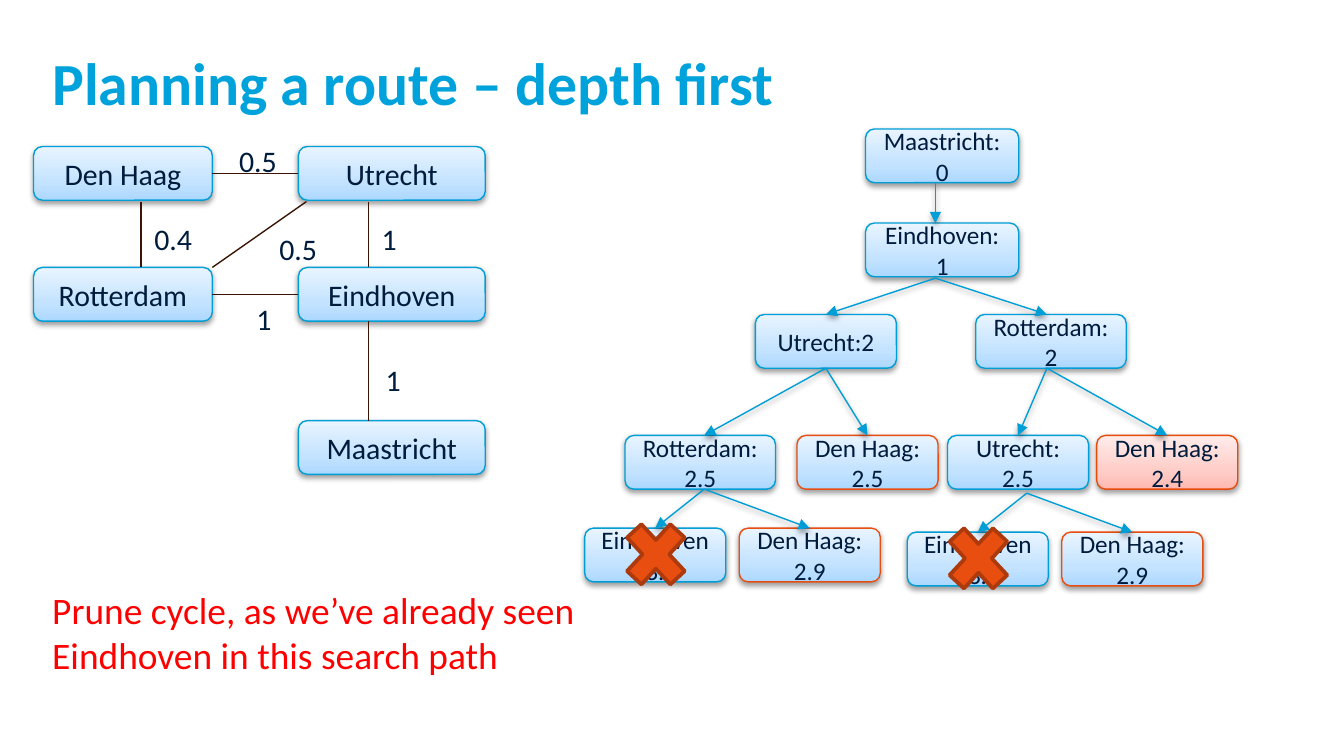
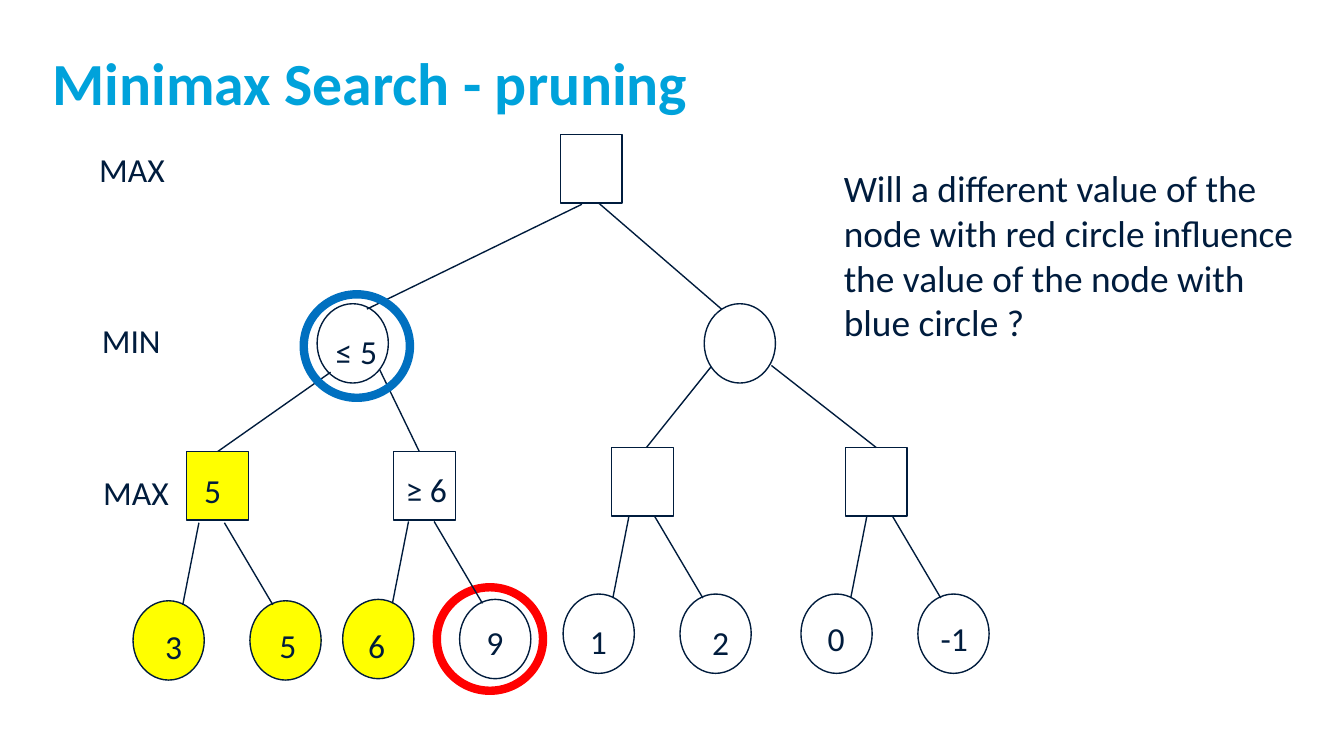
from copy import deepcopy
from dataclasses import dataclass

from lxml import etree
from pptx import Presentation
from pptx.dml.color import RGBColor
from pptx.enum.shapes import MSO_CONNECTOR, MSO_SHAPE
from pptx.enum.text import MSO_ANCHOR, MSO_AUTO_SIZE, PP_ALIGN
from pptx.oxml.ns import qn
from pptx.util import Inches, Pt

ROUNDED = MSO_SHAPE.ROUNDED_RECTANGLE
RECTANGLE = MSO_SHAPE.RECTANGLE
OVAL = MSO_SHAPE.OVAL
CROSS = MSO_SHAPE.MATH_MULTIPLY
STRAIGHT = MSO_CONNECTOR.STRAIGHT
MIDDLE = MSO_ANCHOR.MIDDLE
CENTER = PP_ALIGN.CENTER
GROW = MSO_AUTO_SIZE.SHAPE_TO_FIT_TEXT
TOP, LEFT, BOTTOM, RIGHT = range(4)


@dataclass(frozen=True)
class Theme:
    font: str = "Calibri"
    title: str = "00A2DB"
    ink: str = "001C3D"
    edge: str = "009ED6"
    road: str = "3A1404"
    goal: str = "E84E10"
    best_goal: str = "E84A0A"
    cross_edge: str = "AC3A0C"
    red: str = "FF0000"
    blue: str = "0070C0"
    yellow: str = "FFFF00"
    white: str = "FFFFFF"
    blue_blend: tuple = ("ACD8FF", "C4E3FF", "E9F4FF")
    pink_blend: tuple = ("FFB9B2", "FFCDC8", "FFECEA")
    blend_stops: tuple = (0, 0.35, 1)
    title_size: float = 32
    note_size: float = 20
    value_size: float = 18
    city_size: float = 16
    tree_size: float = 13.5
    thin: float = 0.75
    cross_line: float = 2
    ring_line: float = 4.5


THEME = Theme()
BOX_HEIGHT = 0.4
SQUARE = (0.46, 0.51)
CIRCLE = (0.53, 0.59)
RING = (0.79, 0.77)


def rgb(value):
    return RGBColor.from_string(value)


def style_text(frame, text, size, color, bold=False):
    para = frame.paragraphs[0]
    para.text = text
    para.font.name = THEME.font
    para.font.size = Pt(size)
    para.font.bold = bold
    para.font.color.rgb = rgb(color)
    return para


def add_title(page, text):
    box = page.shapes.add_textbox(Inches(0.39), Inches(0.34), Inches(9.11), Inches(0.62))
    frame = box.text_frame
    frame.word_wrap = True
    frame.margin_left = frame.margin_right = frame.margin_top = frame.margin_bottom = 0
    style_text(frame, text, THEME.title_size, THEME.title, bold=True)


def add_label(page, text, left, top, width, height, size, color=THEME.ink, wrap=True):
    box = page.shapes.add_textbox(Inches(left), Inches(top), Inches(width), Inches(height))
    box.text_frame.word_wrap = wrap
    box.text_frame.auto_size = GROW
    style_text(box.text_frame, text, size, color)


def add_outlined(page, kind, left, top, size, fill=None, line=THEME.ink, weight=THEME.thin):
    shape = page.shapes.add_shape(kind, Inches(left), Inches(top), Inches(size[0]), Inches(size[1]))
    shape.shadow.inherit = False
    if fill:
        shape.fill.solid()
        shape.fill.fore_color.rgb = rgb(fill)
    else:
        shape.fill.background()
    shape.line.color.rgb = rgb(line)
    shape.line.width = Pt(weight)
    return shape


def add_soft_shadow(effects):
    shadow = etree.SubElement(effects, qn("a:outerShdw"), blurRad=str(Pt(3.1)), dist=str(Pt(1.6)),
                              dir="5400000", rotWithShape="0")
    color = etree.SubElement(shadow, qn("a:srgbClr"), val="000000")
    etree.SubElement(color, qn("a:alpha"), val="38000")


def blend_upward(shape, colors):
    """Fill with a three-stop gradient whose first colour is at the bottom."""
    shape.fill.gradient()
    shape.fill.gradient_angle = 90
    stop_list = shape.element.spPr.find(qn("a:gradFill")).find(qn("a:gsLst"))
    stop_list.append(deepcopy(stop_list[-1]))
    for stop, color, position in zip(shape.fill.gradient_stops, colors, THEME.blend_stops):
        stop.color.rgb = rgb(color)
        stop.position = position


def add_place(page, text, left, top, width, size, line=THEME.edge, blend=THEME.blue_blend):
    box = add_outlined(page, ROUNDED, left, top, (width, BOX_HEIGHT), line=line)
    blend_upward(box, blend)
    add_soft_shadow(box.element.spPr.find(qn("a:effectLst")))
    box.text_frame.word_wrap = True
    box.text_frame.vertical_anchor = MIDDLE
    style_text(box.text_frame, text, size, THEME.ink).alignment = CENTER
    return box


def add_link(page, start, end, color=THEME.ink, arrow=False):
    """Draw a line; each end is an (x, y) point or a (shape, side) pair."""
    joined = [not isinstance(tip[0], (int, float)) for tip in (start, end)]
    (x1, y1), (x2, y2) = [(0, 0) if glue else tip for tip, glue in zip((start, end), joined)]
    link = page.shapes.add_connector(STRAIGHT, Inches(x1), Inches(y1), Inches(x2), Inches(y2))
    if joined[0]:
        link.begin_connect(*start)
    if joined[1]:
        link.end_connect(*end)
    link.line.color.rgb = rgb(color)
    link.line.width = Pt(THEME.thin)
    properties = link.element.spPr
    effects = etree.SubElement(properties, qn("a:effectLst"))
    if arrow:
        etree.SubElement(properties.find(qn("a:ln")), qn("a:tailEnd"), type="triangle")
        add_soft_shadow(effects)


def draw_search_tree(page):
    def node(text, left, top, width=1.05, **look):
        return add_place(page, text, left, top, width, THEME.tree_size, **look)

    def arrow(start, end):
        add_link(page, start, end, THEME.edge, arrow=True)

    goal = {"line": THEME.goal}
    node("Maastricht: 0", 6.44, 0.96, 1.14)
    node("Eindhoven:1", 6.44, 1.66, 1.14)
    node("Rotterdam:2", 7.26, 2.34, 1.12)
    utrecht = node("Utrecht:2", 5.62, 2.34)
    node("Rotterdam: 2.5", 4.65, 3.24, 1.12)
    den_haag = node("Den Haag: 2.5", 5.93, 3.24, **goal)
    late_utrecht = node("Utrecht: 2.5", 7.05, 3.24)
    best = node("Den Haag: 2.4", 8.16, 3.24, line=THEME.best_goal, blend=THEME.pink_blend)

    arrow((6.96, 1.36), (6.96, 1.66))
    arrow((6.96, 2.07), (utrecht, TOP))
    arrow((6.96, 2.07), (7.79, 2.34))
    arrow((utrecht, BOTTOM), (5.24, 3.24))
    arrow((utrecht, BOTTOM), (den_haag, TOP))
    arrow((7.79, 2.74), (late_utrecht, TOP))
    arrow((7.79, 2.74), (best, TOP))

    for left, top, fork in ((4.35, 3.93, (5.24, 3.64)), (6.75, 3.96, (7.64, 3.67))):
        cycle = node("Eindhoven: 3.5", left, top)
        finish = node("Den Haag: 2.9", left + 1.15, top, **goal)
        arrow(fork, (cycle, TOP))
        arrow(fork, (finish, TOP))
        add_outlined(page, CROSS, left + 0.22, top - 0.14, (0.62, 0.67),
                     THEME.goal, THEME.cross_edge, THEME.cross_line)


def draw_road_map(page):
    west, east = (0.25, 1.33), (2.22, 1.39)
    places = {}
    for name, (left, width), top in (
        ("Maastricht", east, 3.13), ("Eindhoven", east, 1.99), ("Rotterdam", west, 1.99),
        ("Den Haag", west, 1.09), ("Utrecht", east, 1.09),
    ):
        places[name] = add_place(page, name, left, top, width, THEME.city_size)

    for start, end, hours, left, top in (
        ((2.74, 2.39), (2.74, 3.13), "1", 2.77, 2.64),
        ((places["Eindhoven"], LEFT), (places["Rotterdam"], RIGHT), "1", 1.81, 2.19),
        ((1.05, 1.5), (1.05, 1.99), "0.4", 1.05, 1.59),
        ((2.74, 1.5), (2.74, 1.99), "1", 2.74, 1.59),
        ((1.58, 1.99), (2.28, 1.5), "0.5", 1.98, 1.67),
        ((places["Den Haag"], RIGHT), (places["Utrecht"], LEFT), "0.5", 1.68, 1.01),
    ):
        add_link(page, start, end, THEME.road)
        width = 0.32 if len(hours) == 1 else 0.49
        add_label(page, hours, left, top, width, 0.37, THEME.city_size, wrap=False)


def draw_leaf_pair(page, left, top, fills):
    """Two leaves, each with its line from the square above."""
    for offset, start, end, fill in zip((0, 0.87), (0.49, 0.68), (0.37, 1.04), fills):
        add_outlined(page, OVAL, left + offset, top, CIRCLE, fill)
        add_link(page, (left + start, top - 0.58), (left + end, top + 0.03))


def draw_minimax_tree(page):
    white, yellow = THEME.white, THEME.yellow
    add_outlined(page, OVAL, 3.25, 4.37, RING, line=THEME.red, weight=THEME.ring_line)
    last_max = add_outlined(page, RECTANGLE, 6.29, 3.33, SQUARE)
    add_outlined(page, RECTANGLE, 4.55, 3.33, SQUARE)
    add_outlined(page, RECTANGLE, 2.93, 3.36, SQUARE)
    first_max = add_outlined(page, RECTANGLE, 1.39, 3.36, SQUARE, yellow)

    add_link(page, (2.81, 2.72), (3.12, 3.36))
    add_link(page, (5.33, 2.68), (4.81, 3.33))
    add_link(page, (5.74, 2.72), (last_max, TOP))
    add_link(page, (4.43, 1.49), (5.38, 2.31))
    for left in (5.24, 2.36):
        add_outlined(page, OVAL, left, 2.26, CIRCLE, white)
    add_outlined(page, RECTANGLE, 4.17, 1, SQUARE, white)
    add_link(page, (4.33, 1.52), (2.73, 2.3))
    add_link(page, (2.46, 2.77), (first_max, TOP))

    draw_leaf_pair(page, 4.19, 4.42, (white, white))
    draw_leaf_pair(page, 5.96, 4.42, (white, white))
    draw_leaf_pair(page, 2.55, 4.46, (yellow, white))
    draw_leaf_pair(page, 0.99, 4.47, (yellow, yellow))
    add_outlined(page, OVAL, 2.26, 2.19, RING, line=THEME.blue, weight=THEME.ring_line)

    leaf_values = (("3", 1.13, 4.61), ("5", 1.98, 4.6), ("6", 2.64, 4.6), ("9", 3.52, 4.58),
                   ("1", 4.29, 4.57), ("2", 5.2, 4.58), ("0", 6.06, 4.55), ("-1", 6.9, 4.55))
    inner_values = (("5", 1.42, 3.45), ("≤ 5", 2.4, 2.41), ("≥ 6", 2.92, 3.44))
    levels = (("MAX", 0.64, 1.06), ("MIN", 0.66, 2.33), ("MAX", 0.67, 3.46))
    for labels, width in ((leaf_values, 0.51), (inner_values, 0.54), (levels, 1)):
        for text, left, top in labels:
            add_label(page, text, left, top, width, 0.34, THEME.value_size)


def add_page(deck, title):
    page = deck.slides.add_slide(deck.slide_layouts[6])
    add_title(page, title)
    return page


def main():
    deck = Presentation()
    deck.slide_width = Inches(10)
    deck.slide_height = deck.slide_width * 9 // 16

    route = add_page(deck, "Planning a route – depth first")
    add_label(route, "Prune cycle, as we’ve already seen Eindhoven in this search path",
              0.29, 4.32, 5.11, 0.77, THEME.note_size, THEME.red)
    draw_search_tree(route)
    draw_road_map(route)

    minimax = add_page(deck, "Minimax Search - pruning")
    add_label(minimax, "Will a different value of the node with red circle influence "
              "the value of the node with blue circle ?", 6.18, 1.18, 3.57, 1.45, THEME.note_size)
    draw_minimax_tree(minimax)

    deck.save("out.pptx")


if __name__ == "__main__":
    main()
